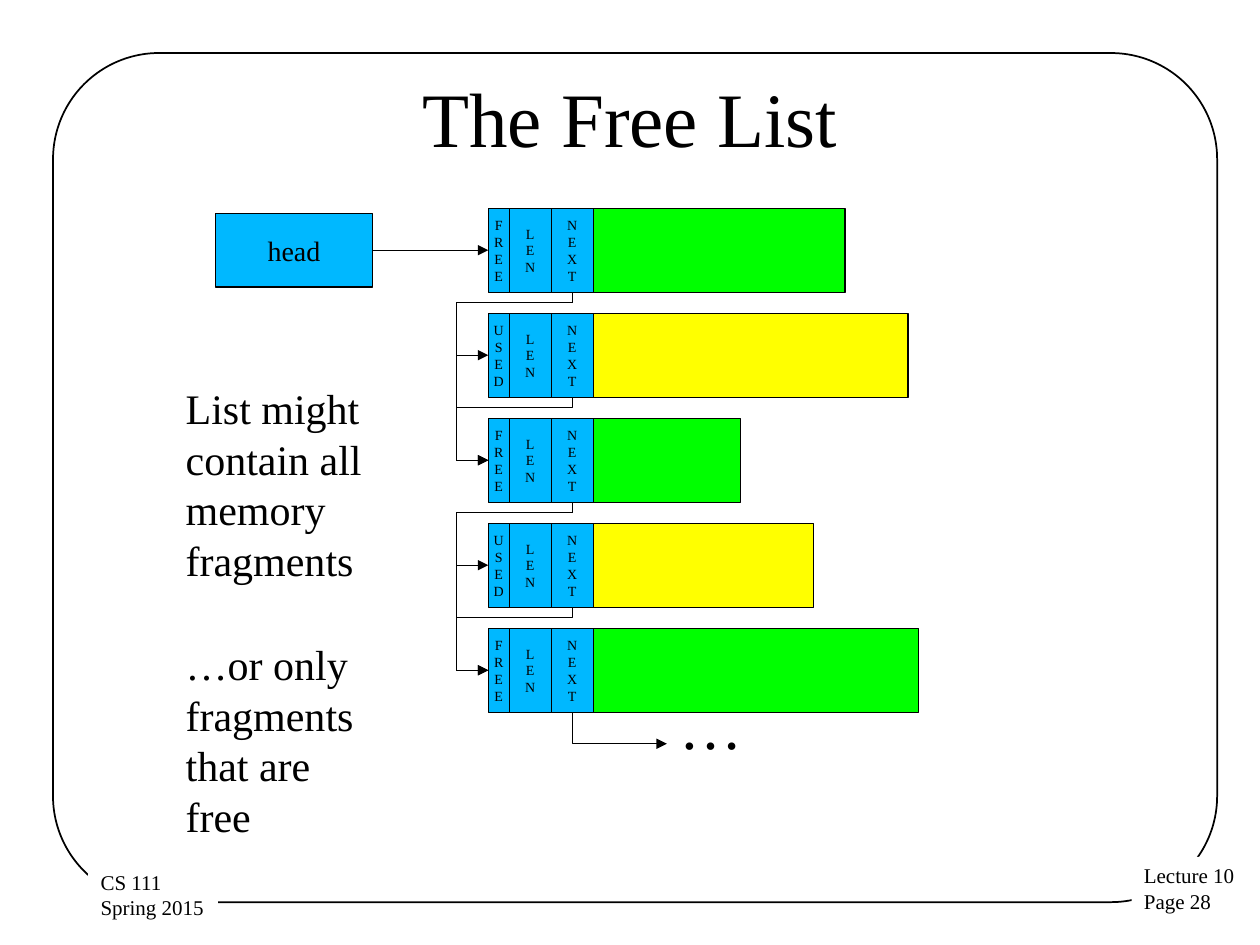
"""Build the free list slide: a chain of memory fragments linked by arrows."""
from dataclasses import dataclass

from lxml import etree
from pptx import Presentation
from pptx.dml.color import RGBColor
from pptx.enum import shapes, text
from pptx.oxml import ns
from pptx.util import Pt


@dataclass(frozen=True)
class Theme:
    font: str = "Times New Roman"
    ink: str = "000000"
    paper: str = "FFFFFF"
    header: str = "00B8FF"
    free: str = "00FF00"
    used: str = "FFFF00"
    title: int = 44
    ellipsis: int = 36
    body: int = 24
    label: int = 16
    footer: int = 12
    cell: int = 8
    thin: float = 0.75
    frame: float = 1


class Page:
    def __init__(self, deck, theme):
        self.theme = theme
        self.shapes = deck.slides.add_slide(deck.slide_layouts[6]).shapes

    def set_text(self, box, lines, size, align="LEFT", anchor="TOP", wrap=True):
        frame = box.text_frame
        frame.text = "\n".join(lines)
        frame.word_wrap = wrap
        frame.vertical_anchor = text.MSO_ANCHOR[anchor]
        for para in frame.paragraphs:
            para.alignment = text.PP_ALIGN[align]
            para.font.name = self.theme.font
            para.font.size = Pt(size)
            para.font.color.rgb = RGBColor.from_string(self.theme.ink)

    def text(self, left, top, width, height, lines, size, **style):
        box = self.shapes.add_textbox(Pt(left), Pt(top), Pt(width), Pt(height))
        self.set_text(box, lines, size, **style)
        return box

    def footer(self, left, top, width, height, lines):
        box = self.text(left, top, width, height, lines, self.theme.footer, wrap=False)
        box.fill.solid()
        box.fill.fore_color.rgb = RGBColor.from_string(self.theme.paper)

    def outline(self, line, weight):
        line.color.rgb = RGBColor.from_string(self.theme.ink)
        line.width = Pt(weight)

    def frame(self, left, top, width, height, corner):
        box = self.shapes.add_shape(
            shapes.MSO_SHAPE.ROUNDED_RECTANGLE, Pt(left), Pt(top), Pt(width), Pt(height))
        box.shadow.inherit = False
        box.adjustments[0] = corner
        box.fill.background()
        self.outline(box.line, self.theme.frame)

    def block(self, left, top, width, height, fill, lines=(), size=None):
        box = self.shapes.add_shape(
            shapes.MSO_SHAPE.RECTANGLE, Pt(left), Pt(top), Pt(width), Pt(height))
        box.shadow.inherit = False
        box.fill.solid()
        box.fill.fore_color.rgb = RGBColor.from_string(fill)
        self.outline(box.line, self.theme.thin)
        if lines:
            self.set_text(box, lines, size, "CENTER", "MIDDLE", wrap=False)

    def arrow(self, start, end, kind=shapes.MSO_CONNECTOR.STRAIGHT):
        connector = self.shapes.add_connector(kind, *map(Pt, start + end))
        self.outline(connector.line, self.theme.thin)
        properties = connector._element.spPr
        line = properties.find(ns.qn("a:ln"))
        etree.SubElement(line, ns.qn("a:tailEnd"), type="triangle")
        etree.SubElement(properties, ns.qn("a:effectLst"))
        return properties

    def elbow(self, start, end, preset, turn, flip=False, bends=()):
        across, down = abs(end[0] - start[0]), abs(end[1] - start[1])
        left = (start[0] + end[0] - down) / 2
        top = (start[1] + end[1] - across) / 2
        properties = self.arrow(
            (left, top), (left + down, top + across), shapes.MSO_CONNECTOR.ELBOW)
        transform = properties.find(ns.qn("a:xfrm"))
        transform.set("rot", str(turn * 60000))
        if flip:
            transform.set("flipH", "1")
        geometry = properties.find(ns.qn("a:prstGeom"))
        geometry.set("prst", preset)
        guides = geometry.find(ns.qn("a:avLst"))
        for number, bend in enumerate(bends, 1):
            etree.SubElement(guides, ns.qn("a:gd"), name=f"adj{number}",
                             fmla=f"val {round(bend * 100000)}")

    def link(self, start, end, drop=6, reach=18):
        bends = (drop / (end[1] - start[1]), 1 + reach / (start[0] - end[0]))
        self.elbow(start, end, "bentConnector4", 90, bends=bends)


LEFT, TOP, HEIGHT, PITCH = 279, 119, 48, 60
TAG_WIDTH, FIELD_WIDTH = 12, 24
FRAGMENTS = [("FREE", 144), ("USED", 180), ("FREE", 84), ("USED", 126), ("FREE", 186)]
NEXT_CENTER = LEFT + TAG_WIDTH + 1.5 * FIELD_WIDTH


def entry(row):
    return LEFT, TOP + row * PITCH + HEIGHT / 2


def exit_point(row):
    return NEXT_CENTER, TOP + row * PITCH + HEIGHT


theme = Theme()
deck = Presentation()
deck.slide_width, deck.slide_height = Pt(720), Pt(540)
page = Page(deck, theme)

page.frame(30.3, 30.3, 665.2, 485.2, 0.125)
page.footer(646.6, 489.6, 67, 36.7, ["Lecture 10", "Page 28"])
page.footer(50.4, 493.2, 74.2, 36.7, ["CS 111", "Spring 2015"])
page.text(36, 21.6, 648, 90, ["The Free List"], theme.title, align="CENTER", anchor="MIDDLE")
page.block(123, 122, 90, 42, theme.header, ["head"], theme.label)

for row, (state, size) in enumerate(FRAGMENTS):
    left, top = LEFT, TOP + row * PITCH
    for word, width in ((state, TAG_WIDTH), ("LEN", FIELD_WIDTH), ("NEXT", FIELD_WIDTH)):
        page.block(left, top, width, HEIGHT, theme.header, list(word), theme.cell)
        left += width
    page.block(left, top, size, HEIGHT, theme.free if state == "FREE" else theme.used)

page.arrow((213, entry(0)[1]), entry(0))
for source, target in ((0, 1), (1, 2), (2, 3), (3, 4), (0, 2), (2, 4)):
    page.link(exit_point(source), entry(target))
last = exit_point(len(FRAGMENTS) - 1)
page.elbow(last, (last[0] + 54, last[1] + 18), "bentConnector2", 270, flip=True)

page.text(381, 389, 78, 50.4, ["…"], theme.ellipsis)
page.text(99, 215.3, 126, 123.8, ["List might contain all memory fragments"], theme.body)
page.text(99, 361.5, 126, 123.8, ["…or only fragments that are free"], theme.body)

deck.save("out.pptx")
